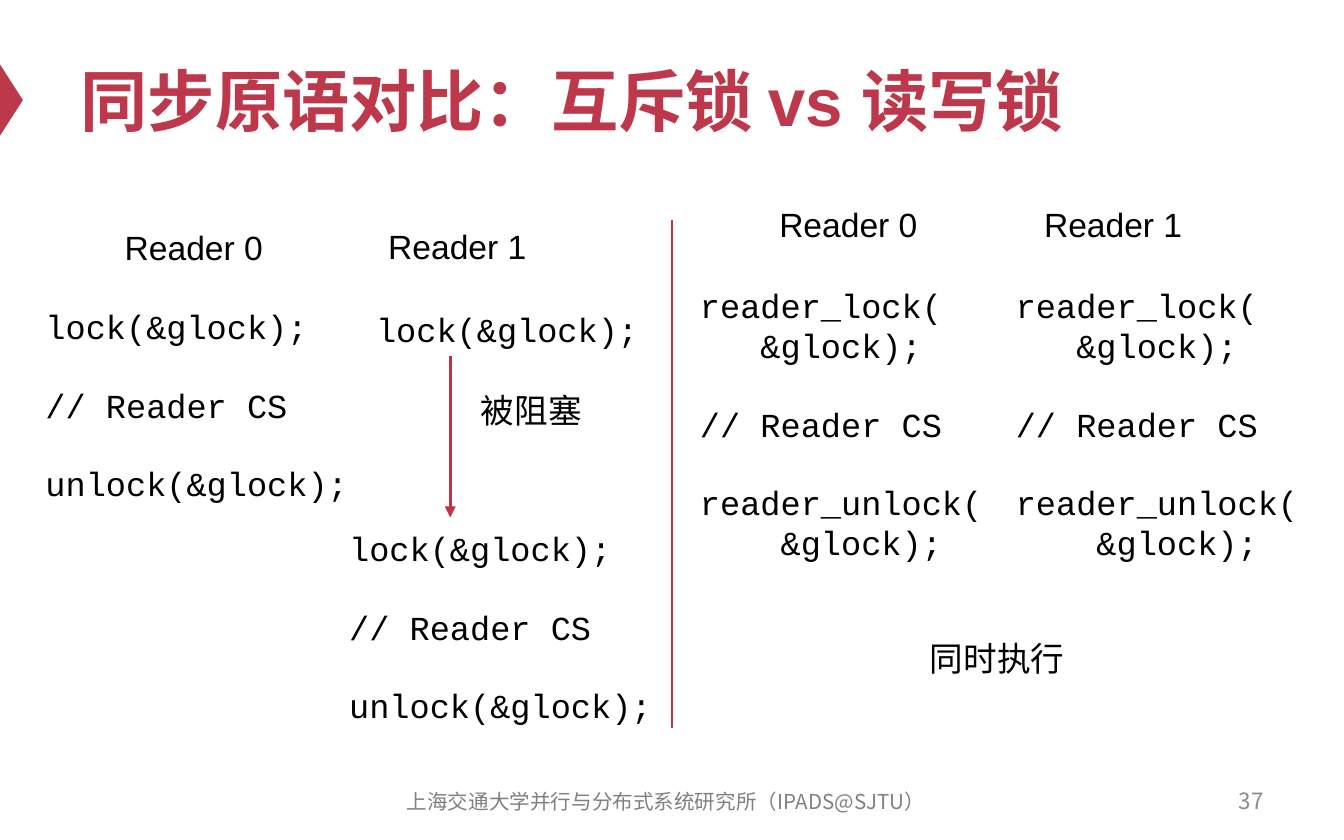
import pptx
import pptx.util
import pptx.dml.color
import pptx.enum.shapes
import pptx.enum.text
import pptx.oxml.ns
from lxml import etree

Inches, Pt = pptx.util.Inches, pptx.util.Pt
RGBColor = pptx.dml.color.RGBColor
ALIGN = pptx.enum.text.PP_ALIGN

TITLE_RED = RGBColor(0xBE, 0x38, 0x4B)
LINE_RED = RGBColor(0xBD, 0x33, 0x47)
BLACK = RGBColor(0x00, 0x00, 0x00)
FOOTER_GREY = RGBColor(0x80, 0x80, 0x80)
NUMBER_GREY = RGBColor(0x8C, 0x8C, 0x8C)
SANS, MONO, CJK = "Arial", "Courier New", "Noto Sans CJK SC"
CODE_GAP = Pt(20.4)  # one line of 18 pt code

TITLE = "同步原语对比：互斥锁 vs 读写锁"
FOOTER = "上海交通大学并行与分布式系统研究所（IPADS@SJTU）"
PAGE_NUMBER = "37"

# Each code block is a list of statements; a statement is a list of lines.
LOCK = ["lock(&glock);"]
MUTEX_CODE = [LOCK, ["// Reader CS"], ["unlock(&glock);"]]
READER_CODE = [
    ["reader_lock(", "   &glock);"],
    ["// Reader CS"],
    ["reader_unlock(", "    &glock);"],
]

# (text, left, top, width)
LABELS = [
    ("Reader 0", 0.83, 1.64, 1.24),
    ("Reader 1", 2.79, 1.63, 1.24),
    ("被阻塞", 3.48, 2.85, 0.96),
    ("Reader 0", 5.7, 1.47, 1.24),
    ("Reader 1", 7.67, 1.47, 1.24),
    ("同时执行", 6.82, 4.7, 1.21),
]
# (statements, left, top, width, height)
CODE_BLOCKS = [
    (MUTEX_CODE, 0.24, 2.23, 2.46, 1.62),
    ([LOCK], 2.7, 2.25, 2.16, 0.4),
    (MUTEX_CODE, 2.5, 3.88, 2.46, 1.62),
    (READER_CODE, 5.11, 2.07, 2.31, 2.22),
    (READER_CODE, 7.46, 2.07, 2.31, 2.22),
]


def add_run(paragraph, text, name, size, color, bold=False):
    run = paragraph.add_run()
    run.text = text
    for attribute, value in {"name": name, "size": Pt(size), "bold": bold}.items():
        setattr(run.font, attribute, value)
    run.font.color.rgb = color
    east_asian = etree.Element(pptx.oxml.ns.qn("a:ea"), typeface=CJK)
    run.font._element.find(pptx.oxml.ns.qn("a:latin")).addnext(east_asian)


def add_box(slide, left, top, width, height, wrap=False):
    frame = slide.shapes.add_textbox(*map(Inches, (left, top, width, height))).text_frame
    frame.word_wrap = wrap
    return frame


def add_code(slide, statements, *place):
    frame = add_box(slide, *place)
    paragraph = None
    for statement in statements:
        for index, line in enumerate(statement):
            first = paragraph is None
            paragraph = frame.paragraphs[0] if first else frame.add_paragraph()
            if index == 0 and not first:
                paragraph.space_before = CODE_GAP
            add_run(paragraph, line, MONO, 18, BLACK)


def add_footer_text(slide, text, place, size, color, alignment):
    frame = add_box(slide, *place, wrap=True)
    frame.vertical_anchor = pptx.enum.text.MSO_ANCHOR.MIDDLE
    frame.paragraphs[0].alignment = alignment
    add_run(frame.paragraphs[0], text, CJK, size, color)


def add_line(slide, x, top, bottom):
    connector = slide.shapes.add_connector(
        pptx.enum.shapes.MSO_CONNECTOR.STRAIGHT, *map(Inches, (x, top, x, bottom)))
    connector.line.color.rgb = LINE_RED
    connector.line.width = Pt(1.5)
    etree.SubElement(connector._element.spPr, pptx.oxml.ns.qn("a:effectLst"))
    return connector


def add_title(slide):
    marker = slide.shapes.add_shape(
        pptx.enum.shapes.MSO_SHAPE.ISOSCELES_TRIANGLE,
        *map(Inches, (-0.18, 0.66, 0.53, 0.17)))
    marker.rotation = 90
    marker.shadow.inherit = False
    marker.fill.solid()
    marker.fill.fore_color.rgb = TITLE_RED
    marker.line.fill.background()

    title = slide.shapes.title
    box = {"left": 0.5, "top": 0.25, "width": 9, "height": 0.98}
    for attribute, value in box.items():
        setattr(title, attribute, Inches(value))
    frame = title.text_frame
    frame.vertical_anchor = pptx.enum.text.MSO_ANCHOR.MIDDLE
    frame.paragraphs[0].alignment = ALIGN.LEFT
    add_run(frame.paragraphs[0], TITLE, SANS, 36, TITLE_RED, bold=True)


def main():
    presentation = pptx.Presentation()
    presentation.slide_width, presentation.slide_height = Inches(10), Inches(6.25)
    slide = presentation.slides.add_slide(presentation.slide_layouts[5])

    add_title(slide)
    add_footer_text(slide, FOOTER, (2.79, 5.8, 4.33, 0.33), 11, FOOTER_GREY, ALIGN.CENTER)
    add_footer_text(slide, PAGE_NUMBER, (7.17, 5.79, 2.33, 0.33), 12, NUMBER_GREY, ALIGN.RIGHT)

    add_line(slide, 5, 1.64, 5.42)
    blocked_arrow = add_line(slide, 3.35, 2.65, 3.85)
    etree.SubElement(blocked_arrow.line._get_or_add_ln(),
                     pptx.oxml.ns.qn("a:tailEnd"), type="triangle")

    for text, left, top, width in LABELS:
        frame = add_box(slide, left, top, width, 0.4)
        add_run(frame.paragraphs[0], text, SANS, 18, BLACK)
    for block in CODE_BLOCKS:
        add_code(slide, *block)

    presentation.save("out.pptx")


if __name__ == "__main__":
    main()
